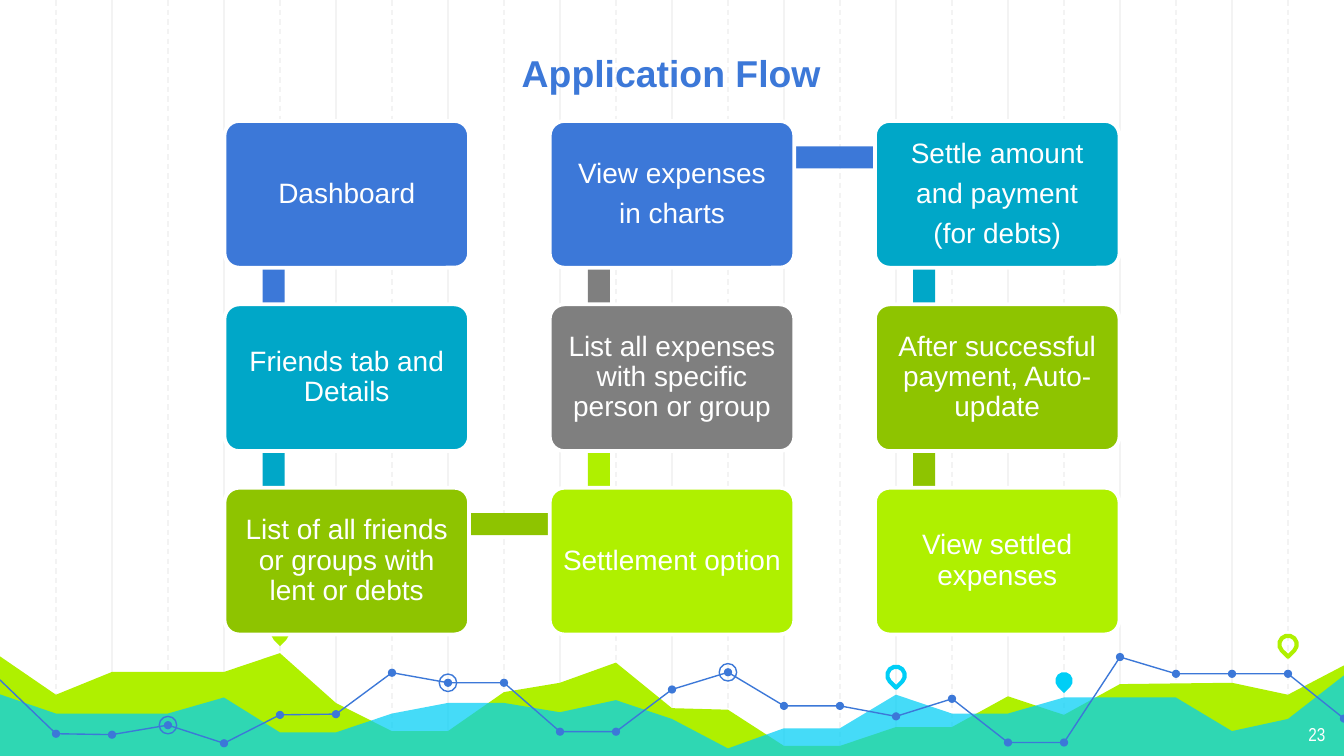
from dataclasses import dataclass
from typing import NamedTuple, Optional

from lxml.etree import SubElement
from pptx import Presentation
from pptx.dml.color import RGBColor
from pptx.enum.dml import MSO_LINE
from pptx.enum.shapes import MSO_CONNECTOR, MSO_SHAPE
from pptx.enum.text import MSO_ANCHOR, MSO_AUTO_SIZE, PP_ALIGN
from pptx.oxml.ns import qn
from pptx.util import Pt


@dataclass(frozen=True)
class Theme:
    blue: str = "3C78D8"
    teal: str = "00A7C8"
    green: str = "8EC400"
    lime: str = "AFF000"
    gray: str = "7F7F7F"
    cyan: str = "00CEF6"
    grid: str = "F3F3F3"
    white: str = "FFFFFF"
    font: str = "Arial"
    number_font: str = "Arial Narrow"
    title_size: float = 20
    body_size: float = 15
    number_size: float = 10


class Point(NamedTuple):
    step: float  # in grid columns
    y: float


class Pin(NamedTuple):
    step: float
    y: float
    color: str
    filled: bool


class Step(NamedTuple):
    column: int
    row: int
    color: str
    text: str


THEME = Theme()
WIDTH, HEIGHT, BOTTOM = 720, 405, 406.5
GRID = 30
BOX_LEFT, BOX_TOP, BOX_WIDTH, BOX_HEIGHT = 120.24, 64.8, 131.04, 78.6
COLUMN_PITCH, ROW_PITCH = 174.24, 98.25
BAR = 11.8

LIME_HILLS = [Point(*pair) for pair in (
    (-0.05, 350.6), (1, 372.2), (2, 360), (4, 360), (5, 349.9), (6, 376.6),
    (7, 391.7), (8, 391.7), (9, 370.8), (10, 365.8), (11, 355), (12, 379.4),
    (13, 380.2), (14, 399.6), (15, 399.6), (16, 389.5), (17, 389.5), (18, 373),
    (19, 383), (20, 366.5), (22, 365.8), (23, 372.2), (24.05, 355.7))]
CYAN_HILLS = [Point(*pair) for pair in (
    (-0.05, 371.5), (1, 382.3), (3, 382.3), (4, 373.7), (5, 392.4), (6, 392.4),
    (7, 382.3), (8, 376.6), (9, 376.6), (10, 381.6), (11, 375.1), (12, 385.2),
    (13, 401), (14, 390.2), (15, 390.2), (16, 372.2), (17, 382.3), (18, 382.3),
    (19, 373.7), (21, 373.7), (22, 391.7), (23, 385.2), (24.05, 360.7))]
TREND_HEIGHTS = (
    364.3, 393.1, 393.6, 388.5, 398.2, 383, 382.6, 360.4, 365.8, 365.8, 392, 392,
    369.4, 360.2, 378.2, 378.2, 383.8, 374.4, 397.8, 397.8, 352, 361, 361, 361, 385)
TREND = [Point(step, y) for step, y in enumerate(TREND_HEIGHTS)]
TREND_SECTIONS = ((0, 11), (11, 20), (20, 24))
RINGED_STEPS = (3, 8, 13)
PINS = (
    Pin(5, 339.5, THEME.lime, True),
    Pin(16, 361.8, THEME.cyan, False),
    Pin(19, 364.7, THEME.cyan, True),
    Pin(23, 345.2, THEME.lime, False),
)
FLOW = (
    Step(0, 0, THEME.blue, "Dashboard"),
    Step(0, 1, THEME.teal, "Friends tab and Details"),
    Step(0, 2, THEME.green, "List of all friends or groups with lent or debts"),
    Step(1, 2, THEME.lime, "Settlement option"),
    Step(1, 1, THEME.gray, "List all expenses with specific person or group"),
    Step(1, 0, THEME.blue, "View expenses\nin charts"),
    Step(2, 0, THEME.teal, "Settle amount\nand payment\n(for debts)"),
    Step(2, 1, THEME.green, "After successful payment, Auto-update"),
    Step(2, 2, THEME.lime, "View settled expenses"),
)


def paint(shape, fill: Optional[str] = None, line: Optional[str] = None, weight: float = 0.75) -> None:
    shape.shadow.inherit = False
    if fill:
        shape.fill.solid()
        shape.fill.fore_color.rgb = RGBColor.from_string(fill)
    else:
        shape.fill.background()
    if line:
        shape.line.color.rgb = RGBColor.from_string(line)
        shape.line.width = Pt(weight)
    else:
        shape.line.fill.background()


def add_preset(shapes, kind, left: float, top: float, width: float, height: float):
    return shapes.add_shape(kind, Pt(left), Pt(top), Pt(width), Pt(height))


def add_centered(shapes, kind, point: Point, size: float):
    return add_preset(shapes, kind, point.step * GRID - size / 2, point.y - size / 2, size, size)


def write(text_frame, text: str, font: str, size: float, color: str, align, anchor,
          inset: float, bold: bool = False) -> None:
    text_frame.text = text
    text_frame.word_wrap = True
    text_frame.auto_size = MSO_AUTO_SIZE.NONE
    text_frame.vertical_anchor = anchor
    text_frame.margin_left = text_frame.margin_right = Pt(inset)
    text_frame.margin_top = text_frame.margin_bottom = Pt(inset)
    for paragraph in text_frame.paragraphs:
        paragraph.alignment = align
        for run in paragraph.runs:
            run.font.name, run.font.size, run.font.bold = font, Pt(size), bold
            run.font.color.rgb = RGBColor.from_string(color)


def add_grid(shapes) -> None:
    solid, dashed = range(2, 24, 2), range(1, 24, 2)
    for step in (*solid, *dashed):
        x = Pt(step * GRID)
        line = shapes.add_connector(MSO_CONNECTOR.STRAIGHT, x, 0, x, Pt(BOTTOM))
        line.line.color.rgb = RGBColor.from_string(THEME.grid)
        line.line.width = Pt(0.75)
        if step in dashed:
            line.line.dash_style = MSO_LINE.DASH
        SubElement(line._element.spPr, qn("a:effectLst"))


def add_path(shapes, points: list[Point], close: bool):
    corners = [(Pt(point.step * GRID), Pt(point.y)) for point in points]
    builder = shapes.build_freeform(*corners[0])
    builder.add_line_segments(corners[1:], close=close)
    return builder.convert_to_shape()


def add_hills(shapes, points: list[Point], color: str, opacity: int = 100) -> None:
    base = [Point(points[-1].step, BOTTOM), Point(points[0].step, BOTTOM)]
    hills = add_path(shapes, points + base, close=True)
    paint(hills, fill=color)
    if opacity < 100:
        color_element = hills._element.spPr.find(qn("a:solidFill"))[0]
        SubElement(color_element, qn("a:alpha"), val=str(opacity * 1000))


def add_pin(shapes, pin: Pin) -> None:
    shape = add_centered(shapes, MSO_SHAPE.TEAR, Point(pin.step, pin.y), 9.36)
    shape.rotation = 135
    if pin.filled:
        paint(shape, fill=pin.color)
    else:
        paint(shape, line=pin.color, weight=2.25)


def add_trend(shapes) -> None:
    for first, last in TREND_SECTIONS:
        paint(add_path(shapes, TREND[first:last + 1], close=False), line=THEME.blue)
    for point in TREND[1:]:
        paint(add_centered(shapes, MSO_SHAPE.OVAL, point, 4.4), fill=THEME.blue)
    for step in RINGED_STEPS:
        paint(add_centered(shapes, MSO_SHAPE.OVAL, TREND[step], 9.36), line=THEME.blue)


def add_bar(shapes, start: Step, end: Step) -> None:
    """Draw the bar that runs behind two neighbouring boxes."""
    left = BOX_LEFT + start.column * COLUMN_PITCH
    top = BOX_TOP + min(start.row, end.row) * ROW_PITCH
    if start.column == end.column:
        bar = add_preset(shapes, MSO_SHAPE.RECTANGLE, left + 20.5, top + 19.8, BAR, 97.2)
    else:
        bar = add_preset(shapes, MSO_SHAPE.RECTANGLE, left + 26.6, top + 13.7, 173.5, BAR)
    paint(bar, fill=start.color)


def add_box(shapes, step: Step) -> None:
    box = add_preset(shapes, MSO_SHAPE.ROUNDED_RECTANGLE, BOX_LEFT + step.column * COLUMN_PITCH,
                     BOX_TOP + step.row * ROW_PITCH, BOX_WIDTH, BOX_HEIGHT)
    box.adjustments[0] = 0.1
    paint(box, fill=step.color, line=THEME.white, weight=2)
    write(box.text_frame, step.text, THEME.font, THEME.body_size, THEME.white,
          PP_ALIGN.CENTER, MSO_ANCHOR.MIDDLE, inset=4.2)
    for paragraph in box.text_frame.paragraphs:
        paragraph.line_spacing = 0.9
        paragraph.space_after = Pt(5.25)


def main() -> None:
    presentation = Presentation()
    presentation.slide_width, presentation.slide_height = Pt(WIDTH), Pt(HEIGHT)
    slide = presentation.slides.add_slide(presentation.slide_layouts[5])
    shapes = slide.shapes

    add_grid(shapes)
    add_hills(shapes, LIME_HILLS, THEME.lime)
    add_hills(shapes, CYAN_HILLS, THEME.cyan, opacity=73)
    add_trend(shapes)
    for pin in PINS:
        add_pin(shapes, pin)

    title = shapes.title
    title.left, title.top, title.width, title.height = Pt(84.24), Pt(25.92), Pt(550.8), Pt(32.4)
    write(title.text_frame, "Application Flow", THEME.font, THEME.title_size, THEME.blue,
          PP_ALIGN.CENTER, MSO_ANCHOR.BOTTOM, inset=7.2, bold=True)
    shapes._spTree.append(title._element)  # in front of the grid

    number = shapes.add_textbox(Pt(673.92), Pt(380.16), Pt(43.2), Pt(25.2))
    write(number.text_frame, "23", THEME.number_font, THEME.number_size, THEME.white,
          PP_ALIGN.RIGHT, MSO_ANCHOR.TOP, inset=7.2)

    for step, following in zip(FLOW, (*FLOW[1:], None)):
        if following:
            add_bar(shapes, step, following)
        add_box(shapes, step)
    presentation.save("out.pptx")


if __name__ == "__main__":
    main()
